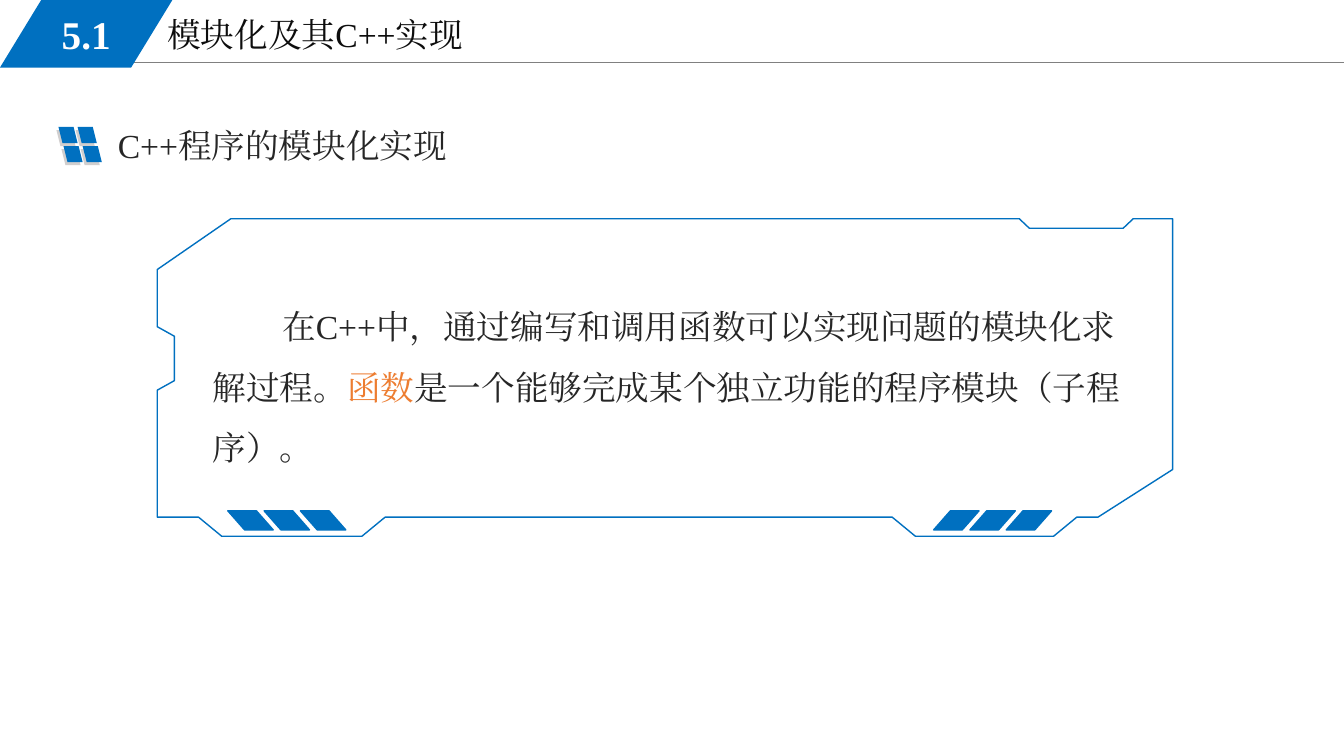
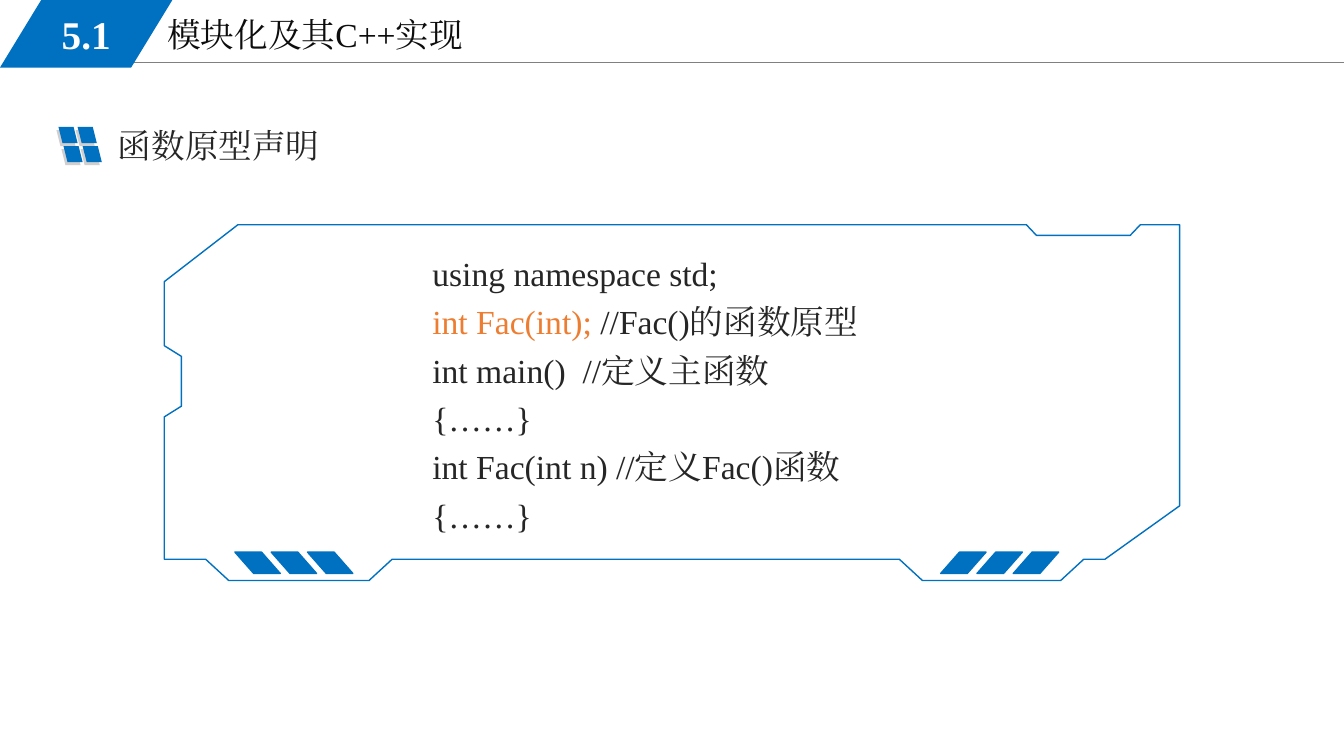
import pptx
import pptx.dml.color
import pptx.enum.shapes
import pptx.enum.text
import pptx.oxml
import pptx.oxml.ns
import pptx.util

BLUE, GREY, SHADE = "0070C0", "808080", "D0CECE"
INK, BLACK, ACCENT, WHITE = "262626", "0D0D0D", "ED7D31", "FFFFFF"
FONT = "Times New Roman"
WIDTH, HEIGHT = 13.33, 7.5
PARALLELOGRAM = pptx.enum.shapes.MSO_SHAPE.PARALLELOGRAM

SECTION = "5.1"
TITLE = "模块化及其C++实现"
PAGES = [
    {
        "heading": "C++程序的模块化实现",
        "frame": (1.56, 2.17, 3.15),
        "text_at": (2.01, 2.79, 9.31, 1.92),
        "spacing": 1.5,
        "paragraphs": [
            [("在C++中，通过编写和调用函数可以实现问题的模块化求解过程。", INK),
             ("函数", ACCENT),
             ("是一个能够完成某个独立功能的程序模块（子程序）。", INK)],
        ],
    },
    {
        "heading": "函数原型声明",
        "frame": (1.63, 2.23, 3.53),
        "text_at": (3.5, 2.38, 9.67, 2.97),
        "spacing": 1.2,
        "paragraphs": [
            [("using namespace std;", INK)],
            [("int Fac(int); ", ACCENT), ("//Fac()的函数原型", INK)],
            [("int main()  //定义主函数", INK)],
            [("{……}", INK)],
            [("int Fac(int n) //定义Fac()函数", INK)],
            [("{……}", INK)],
        ],
    },
]

# x in inches from the frame's left, y as a share of its height
FRAME_OUTLINE = [
    (0.73, 0), (8.55, 0), (8.65, 0.03), (9.58, 0.03), (9.68, 0), (10.07, 0),
    (10.07, 0.79), (9.33, 0.94), (9.12, 0.94), (8.89, 1), (7.52, 1),
    (7.29, 0.94), (2.26, 0.94), (2.03, 1), (0.64, 1), (0.41, 0.94),
    (0, 0.94), (0, 0.54), (0.17, 0.51), (0.17, 0.37), (0, 0.34), (0, 0.16),
]
STRIPE_SETS = [(0.7, True), (7.7, False)]
STRIPE_STEP = 0.36


def inches(*lengths):
    return [pptx.util.Inches(length) for length in lengths]


def color(code):
    return pptx.dml.color.RGBColor.from_string(code)


def tag(name):
    return pptx.oxml.ns.qn(name)


def write(box, paragraphs, size=24, bold=False, spacing=None, indent=0):
    frame = box.text_frame
    for number, spans in enumerate(paragraphs):
        para = frame.add_paragraph() if number else frame.paragraphs[0]
        para.alignment = pptx.enum.text.PP_ALIGN.LEFT
        para.line_spacing = spacing
        for text, code in spans:
            span = para.add_run()
            span.text = text
            span.font.name = FONT
            span.font.size = pptx.util.Pt(size)
            span.font.bold = bold
            span.font.color.rgb = color(code)
    for properties in box.element.iter(tag("a:rPr")):
        properties.set("lang", "zh-CN")
        east_asian = pptx.oxml.parse_xml(
            f'<a:ea {pptx.oxml.ns.nsdecls("a")} typeface="{FONT}"/>')
        properties.find(tag("a:latin")).addnext(east_asian)
    for properties in box.element.iter(tag("a:pPr")):
        properties.set("marL", "0")
        properties.set("indent", str(pptx.util.Inches(indent)))


def add_text(page, place, paragraphs, **style):
    box = page.shapes.add_textbox(*inches(*place))
    box.text_frame.word_wrap = True
    box.text_frame.auto_size = pptx.enum.text.MSO_AUTO_SIZE.SHAPE_TO_FIT_TEXT
    write(box, paragraphs, **style)


def add_slant(shapes, place, fill, slant=0.25, flip=False, outlined=False):
    shape = shapes.add_shape(PARALLELOGRAM, *inches(*place))
    shape.shadow.inherit = False
    shape.adjustments[0] = slant
    shape.fill.solid()
    shape.fill.fore_color.rgb = color(fill)
    if outlined:
        shape.line.color.rgb = color(fill)
        shape.line.width = pptx.util.Pt(1)
    else:
        shape.line.fill.background()
    if flip:
        next(shape.element.iter(tag("a:xfrm"))).set("flipH", "1")
    return shape


def place_header(layout, page):
    for holder in list(layout.placeholders):
        if holder.placeholder_format.type == pptx.enum.shapes.PP_PLACEHOLDER.TITLE:
            holder.left, holder.top, holder.width, holder.height = inches(
                1.56, 0.09, 5.67, 0.51)
        else:
            layout.shapes.element.remove(holder.element)
    rule = page.shapes.add_connector(
        pptx.enum.shapes.MSO_CONNECTOR.STRAIGHT, *inches(1.13, 0.62, WIDTH, 0.62))
    rule.line.color.rgb = color(GREY)
    rule.line.width = pptx.util.Pt(0.75)
    rule.element.spPr.append(pptx.oxml.parse_xml(
        f'<a:effectLst {pptx.oxml.ns.nsdecls("a")}/>'))
    badge = add_slant(page.shapes, (0, 0, 1.71, 0.67), BLUE, slant=0.61)
    write(badge, [[(SECTION, WHITE)]], size=28, bold=True)
    badge.text_frame.paragraphs[0].alignment = pptx.enum.text.PP_ALIGN.CENTER
    badge.text_frame.vertical_anchor = pptx.enum.text.MSO_ANCHOR.MIDDLE
    for shape in (rule, badge):
        layout.shapes.element.append(shape.element)


def add_heading(page, text):
    icon = page.shapes.add_group_shape()
    for left, top, fill in [(0.56, 1.29, SHADE), (0.58, 1.26, BLUE)]:
        for row in range(2):
            for column in range(2):
                place = (left + 0.19 * column + 0.05 * row,
                         top + 0.19 * row, 0.19, 0.16)
                add_slant(icon.shapes, place, fill, flip=True)
    add_text(page, (1.07, 1.19, 4.78, 0.5), [[(text, INK)]])


def add_frame(page, left, top, height):
    group = page.shapes.add_group_shape()
    points = [inches(left + x, top + share * height) for x, share in FRAME_OUTLINE]
    builder = group.shapes.build_freeform(*points[0])
    builder.add_line_segments(points[1:], close=True)
    outline = builder.convert_to_shape()
    outline.shadow.inherit = False
    outline.fill.background()
    outline.line.color.rgb = color(BLUE)
    outline.line.width = pptx.util.Pt(1)
    for start, flip in STRIPE_SETS:
        for number in range(3):
            place = (left + start + STRIPE_STEP * number,
                     top + 0.92 * height, 0.45, 0.06 * height)
            add_slant(group.shapes, place, BLUE, 0.88, flip, outlined=True)


def main():
    deck = pptx.Presentation()
    deck.slide_width, deck.slide_height = inches(WIDTH, HEIGHT)
    layout = deck.slide_layouts[5]
    for number, content in enumerate(PAGES):
        page = deck.slides.add_slide(layout)
        if number == 0:
            place_header(layout, page)
        title = page.shapes.title
        title.text_frame.vertical_anchor = pptx.enum.text.MSO_ANCHOR.TOP
        title.text_frame.auto_size = pptx.enum.text.MSO_AUTO_SIZE.NONE
        write(title, [[(TITLE, BLACK)]])
        add_text(page, content["text_at"], content["paragraphs"],
                 spacing=content["spacing"], indent=0.69)
        add_heading(page, content["heading"])
        add_frame(page, *content["frame"])
    deck.save("out.pptx")


if __name__ == "__main__":
    main()
